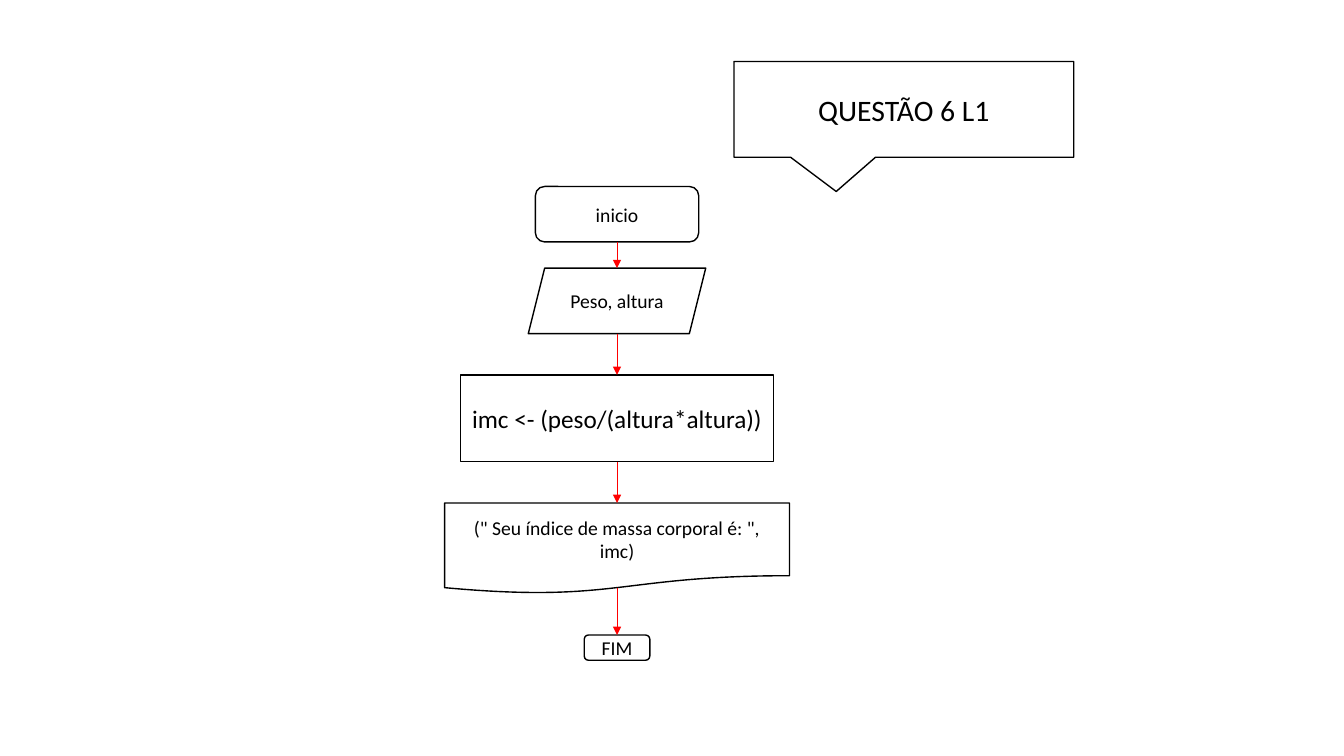
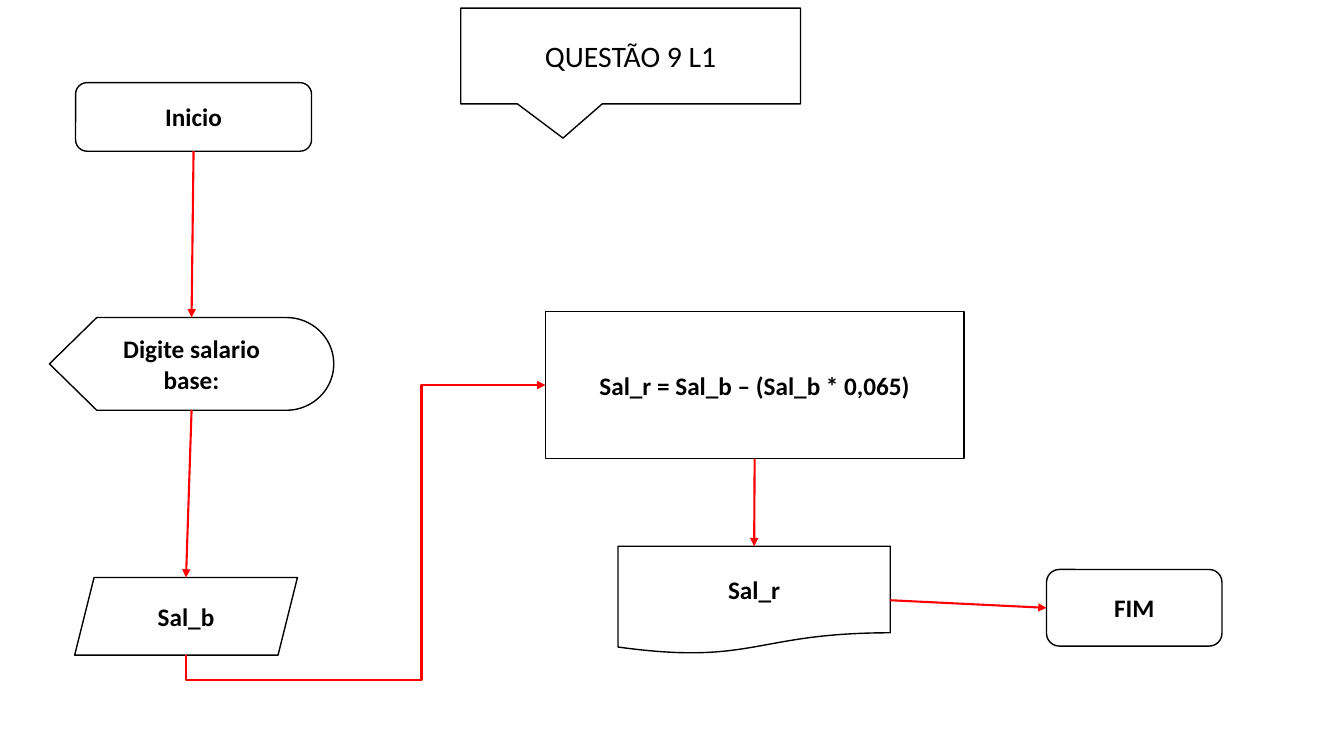
from lxml import etree
from pptx import Presentation
from pptx.dml.color import RGBColor
from pptx.enum.shapes import MSO_CONNECTOR, MSO_SHAPE
from pptx.enum.text import MSO_ANCHOR, MSO_AUTO_SIZE, PP_ALIGN
from pptx.oxml.ns import qn
from pptx.util import Inches, Pt

ROUND = MSO_SHAPE.ROUNDED_RECTANGLE
RECT = MSO_SHAPE.RECTANGLE
SLANT = MSO_SHAPE.PARALLELOGRAM
PAPER = MSO_SHAPE.FLOWCHART_DOCUMENT
SCREEN = MSO_SHAPE.FLOWCHART_DISPLAY
STEP = MSO_SHAPE.FLOWCHART_PROCESS
CALL = MSO_SHAPE.RECTANGULAR_CALLOUT
LINE = MSO_CONNECTOR.STRAIGHT
BENT = MSO_CONNECTOR.ELBOW
MID = MSO_ANCHOR.MIDDLE
CENTER = PP_ALIGN.CENTER
FIXED = MSO_AUTO_SIZE.NONE

COLORS = {"paper": "FFFFFF", "ink": "000000", "arrow": "FF0000"}
TOP, LEFT, BOTTOM, RIGHT = range(4)
WAVE = 0.934  # height of a document at the middle of its wavy edge
SMALL = {"size": Pt(14), "bold": False}
LARGE = {"size": Pt(18), "bold": False}
BOLD = {"size": Pt(18), "bold": True}
HEAD = {"size": Pt(21.2), "bold": False}


def color(key):
    return RGBColor.from_string(COLORS[key])


def write(shape, text, style, inset=0.1):
    frame = shape.text_frame
    form = {"word_wrap": True, "auto_size": FIXED, "vertical_anchor": MID,
            "margin_left": Inches(inset), "margin_right": Inches(inset)}
    for name, value in form.items():
        setattr(frame, name, value)
    frame.text = text
    para = frame.paragraphs[0]
    para.alignment = CENTER
    for name, value in {"name": "Calibri", **style}.items():
        setattr(para.font, name, value)
    para.font.color.rgb = color("ink")


def outline(slide, kind, box):
    shape = slide.shapes.add_shape(kind, *map(Inches, box))
    shape.shadow.inherit = False
    shape.fill.solid()
    shape.fill.fore_color.rgb = color("paper")
    shape.line.color.rgb = color("ink")
    shape.line.width = Pt(1)
    return shape


def node(slide, kind, box, text, style, inset=0.1):
    shape = outline(slide, kind, box)
    write(shape, text, style, inset)
    return shape


def title(slide, text, left, top):
    box = (left, top, 3.37, 0.95)
    call = outline(slide, CALL, box)
    call.adjustments[0] = -0.199
    call.adjustments[1] = 0.858
    head = slide.shapes.title
    head.left, head.top, head.width, head.height = map(Inches, box)
    write(head, text, HEAD)
    call.element.addnext(head.element)  # keep the title above the callout


def arrow(slide, kind, start, end, width):
    wire = slide.shapes.add_connector(kind, *start, *end)
    wire.line.color.rgb = color("arrow")
    wire.line.width = Pt(width)
    line = wire.line._get_or_add_ln()
    etree.SubElement(line, qn("a:tailEnd"), type="triangle")
    etree.SubElement(wire.element.spPr, qn("a:effectLst"))
    return wire


def point(shape, side):
    drop = WAVE if shape.auto_shape_type == PAPER else 1
    across, down = ((0.5, 0), (0, 0.5), (0.5, drop), (1, 0.5))[side]
    return (shape.left + int(shape.width * across),
            shape.top + int(shape.height * down))


def can_glue(shape, side):
    kind = shape.auto_shape_type
    return kind != SLANT and (kind, side) != (PAPER, BOTTOM)


def join(slide, first, last, width, sides=(BOTTOM, TOP)):
    out, into = sides
    wire = arrow(slide, LINE, point(first, out), point(last, into), width)
    if can_glue(first, out):
        wire.begin_connect(first, out)
    if can_glue(last, into):
        wire.end_connect(last, into)


def detour(slide, start, end, width, dip, turn):
    """Go down by dip, across to turn, up, then right to the end."""
    (x1, y1), (x2, y2) = start, end
    wide, tall = x2 - x1, y1 - y2
    mid_x, mid_y = (x1 + x2) // 2, (y1 + y2) // 2
    # The elbow is laid out on its side, then turned by 90 degrees
    near = (mid_x + tall // 2, mid_y + wide // 2)
    far = (mid_x - tall // 2, mid_y - wide // 2)
    wire = arrow(slide, BENT, near, far, width)
    wire.element.spPr.find(qn("a:xfrm")).set("rot", "5400000")
    geom = wire.element.spPr.find(qn("a:prstGeom"))
    geom.set("prst", "bentConnector4")
    guides = geom.find(qn("a:avLst"))
    if guides is None:
        guides = etree.SubElement(geom, qn("a:avLst"))
    ratios = (-Inches(dip) / tall, turn)
    for index, ratio in enumerate(ratios, 1):
        etree.SubElement(guides, qn("a:gd"), name=f"adj{index}",
                         fmla=f"val {round(ratio * 100000)}")


def column(slide, box):
    """Stack centred steps in the box and link each to the next."""
    left, top, width = box
    steps = [
        (ROUND, 0, 1.62, 0.55, "inicio", SMALL, 0.1),
        (SLANT, 0.81, 1.76, 0.65, "Peso, altura", SMALL, 0.1),
        (RECT, 1.87, 3.11, 0.86, "imc <- (peso/(altura*altura))", LARGE, 0.05),
        (PAPER, 3.14, width, 0.9, '(" Seu índice de massa corporal é: ", imc)',
         SMALL, 0.12),
        (ROUND, 4.45, 0.65, 0.25, "FIM", SMALL, 0.1),
    ]
    nodes = [
        node(slide, kind, (left + (width - wide) / 2, top + down, wide, tall),
             text, style, inset)
        for kind, down, wide, tall, text, style, inset in steps
    ]
    for first, last in zip(nodes, nodes[1:]):
        join(slide, first, last, 0.5)


def salary(slide, left, top):
    """Place the input steps at left and the result steps at right."""
    def put(kind, x, y, wide, tall, text):
        return node(slide, kind, (left + x, top + y, wide, tall), text, BOLD)

    # Input
    begin = put(ROUND, 0.26, 0, 2.34, 0.68, "Inicio")
    ask = put(SCREEN, 0, 2.33, 2.82, 0.92, "Digite salario base:")
    base = put(SLANT, 0.25, 4.91, 2.21, 0.77, "Sal_b")
    # Result
    work = put(STEP, 4.92, 2.27, 4.15, 1.46, "Sal_r = Sal_b – (Sal_b * 0,065)")
    show = put(PAPER, 5.64, 4.6, 2.7, 1.07, "Sal_r")
    done = put(ROUND, 9.89, 4.83, 1.74, 0.76, "FIM")
    # Links
    for first, last in ((begin, ask), (ask, base), (work, show)):
        join(slide, first, last, 1.5)
    join(slide, show, done, 1.5, (RIGHT, LEFT))
    detour(slide, point(base, BOTTOM), point(work, LEFT), 1.5, 0.25, 0.655)


def main():
    deck = Presentation()
    deck.slide_width, deck.slide_height = Inches(13.33), Inches(7.5)
    plain = deck.slide_layouts[5]

    body = deck.slides.add_slide(plain)
    title(body, "QUESTÃO 6 L1", 7.28, 0.61)
    column(body, (4.41, 1.85, 3.42))

    pay = deck.slides.add_slide(plain)
    title(pay, "QUESTÃO 9 L1", 4.57, 0.08)
    salary(pay, 0.49, 0.82)

    deck.save("out.pptx")


if __name__ == "__main__":
    main()
